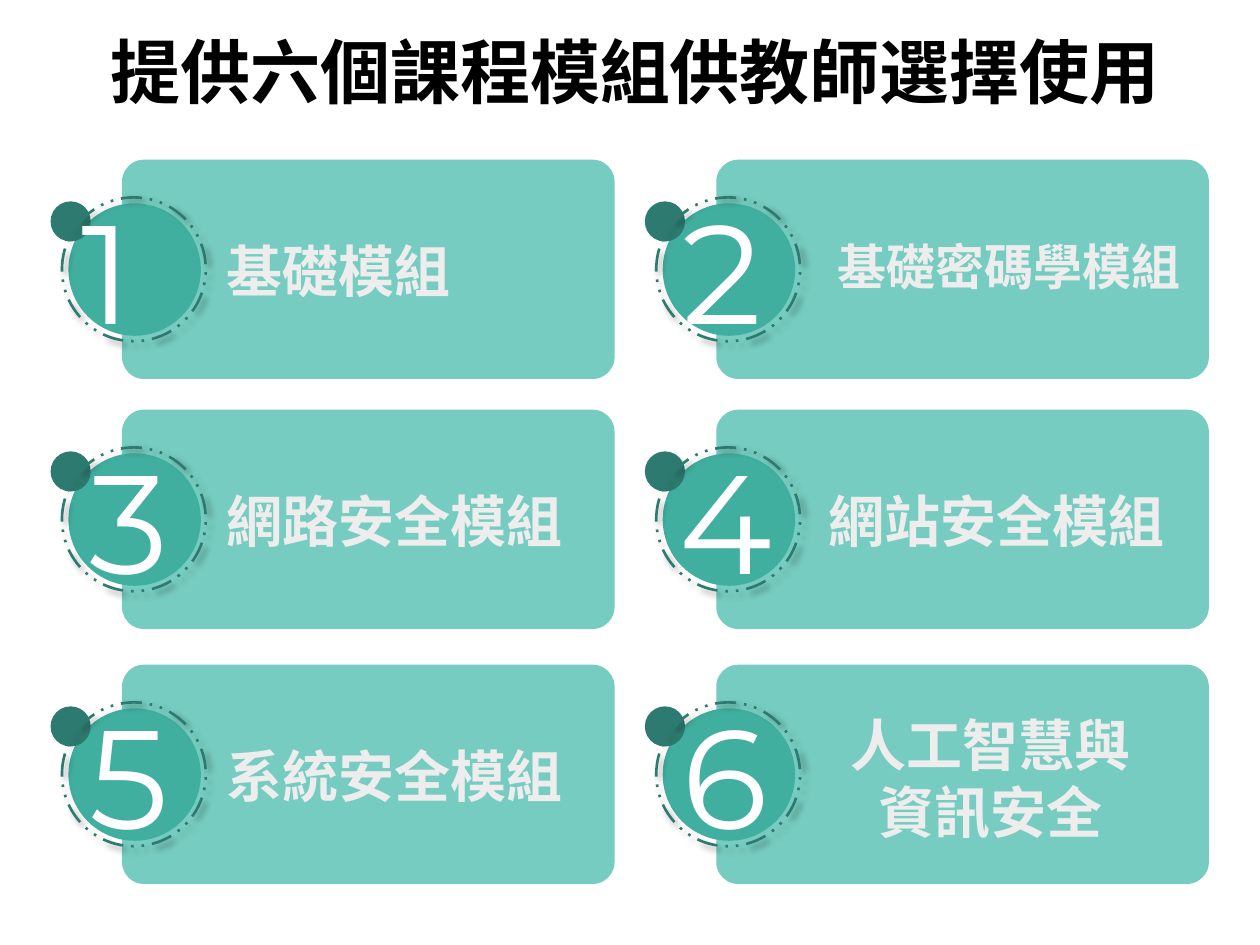
from dataclasses import dataclass
from typing import NamedTuple

from lxml.etree import SubElement
from pptx import Presentation
from pptx.dml.color import RGBColor
from pptx.enum.dml import MSO_LINE
from pptx.enum.shapes import MSO_SHAPE
from pptx.enum.text import MSO_AUTO_SIZE, PP_ALIGN
from pptx.oxml.ns import qn
from pptx.util import Cm, Pt


@dataclass(frozen=True)
class Theme:
    """Colours, fonts and type sizes of the slide."""
    card: str = "76CCC0"
    disc: str = "41AF9F"
    accent: str = "2D7B70"
    title: str = "000000"
    digit: str = "FFFFFF"
    label: str = "EDEDED"
    shadow: str = "000000"
    cjk_font: str = "Noto Sans CJK SC"
    digit_font: str = "Montserrat"
    title_size: int = 40
    digit_size: int = 80
    label_size: int = 32
    long_label_size: int = 28


class Module(NamedTuple):
    """A course module; offsets in cm from the card's corner."""
    lines: tuple
    digit_x: float
    label_box: tuple
    size: int


THEME = Theme()
COLUMN_LEFTS = (2.46, 14.44)
ROW_TOPS = (3.22, 8.26, 13.4)
MODULES = (
    Module(("基礎模組",), -1.07, (1.85, 1.43, 5.08, 1.63), THEME.label_size),
    Module(("基礎密碼學模組",), -0.93, (2.2, 1.43, 7.49, 1.45), THEME.long_label_size),
    Module(("網路安全模組",), -0.91, (1.85, 1.43, 7.34, 1.63), THEME.label_size),
    Module(("網站安全模組",), -1.0, (2.02, 1.43, 7.34, 1.63), THEME.label_size),
    Module(("系統安全模組",), -0.91, (1.85, 1.43, 7.34, 1.63), THEME.label_size),
    Module(("人工智慧與", "資訊安全"), -0.93, (2.43, 0.79, 6.22, 3.0), THEME.label_size),
)


def add_text(shapes, box, lines, font_name, size, color, bold=False):
    """Add an unwrapped text box, centring its lines when there are several."""
    frame = shapes.add_textbox(*map(Cm, box)).text_frame
    frame.word_wrap = False
    frame.auto_size = MSO_AUTO_SIZE.SHAPE_TO_FIT_TEXT
    frame.text = "\n".join(lines)
    for paragraph in frame.paragraphs:
        if len(lines) > 1:
            paragraph.alignment = PP_ALIGN.CENTER
        font = paragraph.font
        font.size = Pt(size)
        font.bold = bold
        font.color.rgb = RGBColor.from_string(color)
        font.name = font_name
        defaults = paragraph._p.pPr.find(qn("a:defRPr"))
        SubElement(defaults, qn("a:ea"), typeface=font_name)


def add_filled(shapes, preset, box, color):
    """Add a flat preset shape without an outline."""
    shape = shapes.add_shape(preset, *map(Cm, box))
    shape.shadow.inherit = False
    shape.fill.solid()
    shape.fill.fore_color.rgb = RGBColor.from_string(color)
    shape.line.fill.background()
    return shape


def add_ring(shapes, box):
    """Add the dashed ring with its soft shadow."""
    ring = shapes.add_shape(MSO_SHAPE.OVAL, *map(Cm, box))
    ring.fill.background()
    ring.line.color.rgb = RGBColor.from_string(THEME.accent)
    ring.line.width = Pt(1.5)
    ring.line.dash_style = MSO_LINE.DASH_DOT_DOT
    ring.shadow.inherit = False
    effects = ring._element.spPr.find(qn("a:effectLst"))
    shadow = SubElement(effects, qn("a:outerShdw"), blurRad=str(Pt(4)), dist=str(Pt(3)),
                        dir="2700000", algn="tl", rotWithShape="0")
    shade = SubElement(shadow, qn("a:srgbClr"), val=THEME.shadow)
    SubElement(shade, qn("a:alpha"), val="40000")


def add_module(slide, number, module, left, top):
    """Add one numbered module card as a group."""
    shapes = slide.shapes.add_group_shape().shapes

    def place(x, y, width, height):
        """Shift a box from the card's corner to the slide."""
        return left + x, top + y, width, height

    card = add_filled(shapes, MSO_SHAPE.ROUNDED_RECTANGLE, place(0, 0, 9.93, 4.42), THEME.card)
    card.adjustments[0] = 0.1
    add_filled(shapes, MSO_SHAPE.OVAL, place(-1.08, 0.88, 2.67, 2.67), THEME.disc)
    add_filled(shapes, MSO_SHAPE.OVAL, place(-1.44, 0.84, 0.81, 0.81), THEME.accent)
    add_ring(shapes, place(-1.21, 0.76, 2.9, 2.9))
    add_text(shapes, place(module.digit_x, 0.38, 2.41, 3.68), (str(number),),
             THEME.digit_font, THEME.digit_size, THEME.digit)
    add_text(shapes, place(*module.label_box), module.lines,
             THEME.cjk_font, module.size, THEME.label, bold=True)


def main():
    """Build the slide with its title and six module cards."""
    presentation = Presentation()
    presentation.slide_width, presentation.slide_height = Cm(25.4), Cm(19.05)
    slide = presentation.slides.add_slide(presentation.slide_layouts[6])
    add_text(slide.shapes, (1.98, 0.46, 21.89, 1.96), ("提供六個課程模組供教師選擇使用",),
             THEME.cjk_font, THEME.title_size, THEME.title, bold=True)
    for index, module in enumerate(MODULES):
        row, column = divmod(index, len(COLUMN_LEFTS))
        add_module(slide, index + 1, module, COLUMN_LEFTS[column], ROW_TOPS[row])
    presentation.save("out.pptx")


if __name__ == "__main__":
    main()
